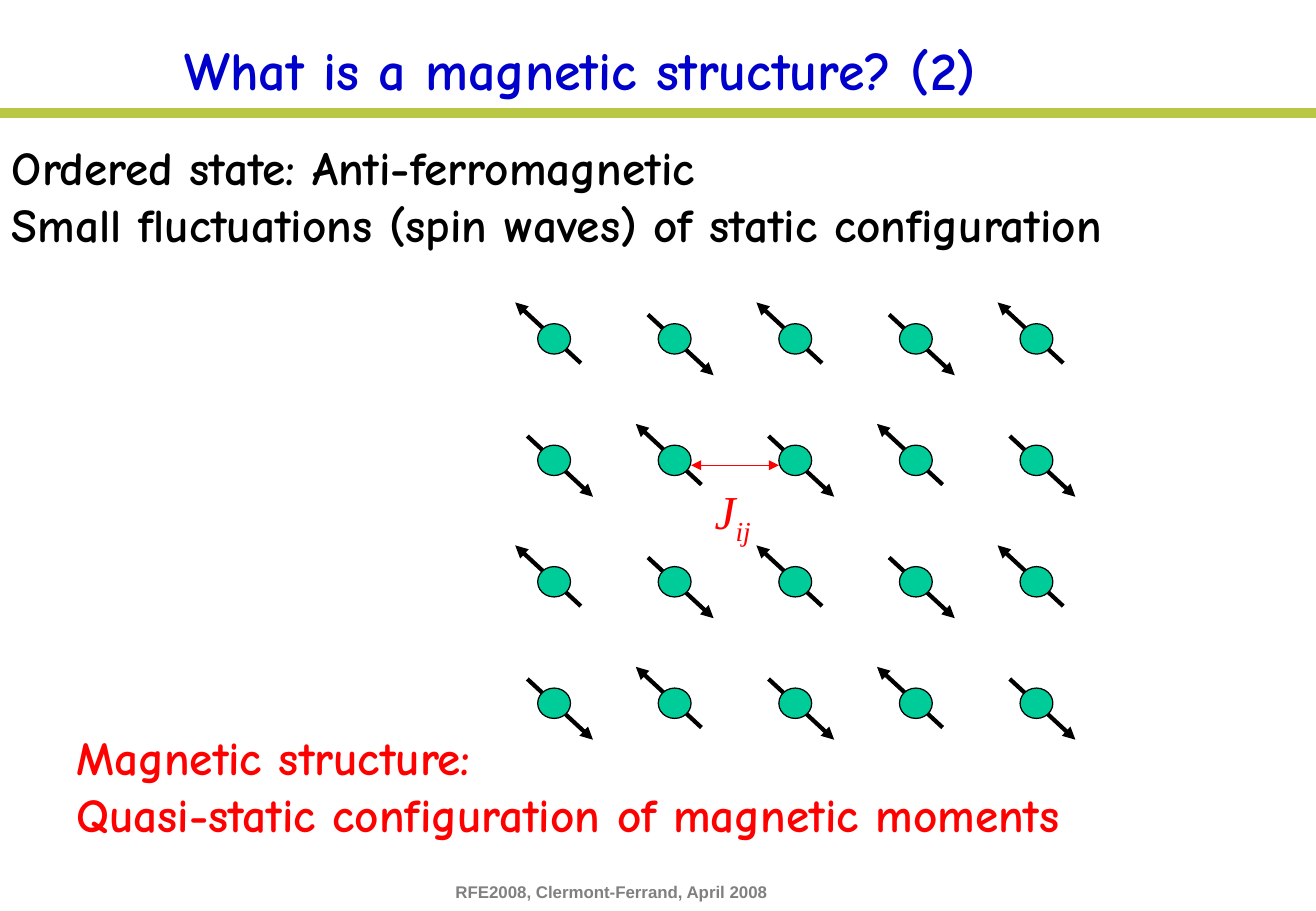
from lxml import etree
from pptx import Presentation
from pptx.dml.color import RGBColor
from pptx.enum.shapes import MSO_CONNECTOR, MSO_SHAPE
from pptx.enum.text import MSO_ANCHOR, PP_ALIGN
from pptx.oxml.ns import qn
from pptx.util import Emu, Pt

PX = 9144  # 100 px to the inch
STRAIGHT = MSO_CONNECTOR.STRAIGHT
RECTANGLE, OVAL = MSO_SHAPE.RECTANGLE, MSO_SHAPE.OVAL
LEFT, CENTER = PP_ALIGN.LEFT, PP_ALIGN.CENTER
TOP, MIDDLE = MSO_ANCHOR.TOP, MSO_ANCHOR.MIDDLE

COLORS = {
    "bar": "B8C844", "footer": "808080", "title": "0000CC", "text": "000000",
    "highlight": "FF0000", "atom": "00CC99", "outline": "000000",
}
TITLE = {"name": "Comic Neue", "size": Pt(32), "bold": True, "color": "title"}
STATEMENT = {"name": "Comic Neue", "size": Pt(28), "bold": True, "color": "text"}
CONCLUSION = {**STATEMENT, "color": "highlight"}
FOOTER = {"name": "Arial", "size": Pt(10), "bold": True, "color": "footer"}
SYMBOL = {"name": "Times New Roman", "size": Pt(28), "italic": True, "color": "highlight"}

ROWS, COLUMNS = 4, 5
ATOM_WIDTH, ATOM_HEIGHT = 27, 25
MOMENT_TAIL, MOMENT_HEAD = (-22, -20), (32, 30)


def px(*values):
    return [Emu(round(value * PX)) for value in values]


def rgb(name):
    return RGBColor.from_string(COLORS[name])


def format_font(font, style):
    for name, value in style.items():
        if name == "color":
            font.color.rgb = rgb(value)
        else:
            setattr(font, name, value)


def write_lines(shape, lines, style, alignment=LEFT, anchor=TOP):
    frame = shape.text_frame
    frame.word_wrap = True
    frame.vertical_anchor = anchor
    for index, line in enumerate(lines):
        paragraph = frame.paragraphs[0] if index == 0 else frame.add_paragraph()
        paragraph.alignment = alignment
        run = paragraph.add_run()
        run.text = line
        format_font(run.font, style)


def add_text(shapes, box, lines, style):
    shape = shapes.add_textbox(*px(*box))
    write_lines(shape, lines, style)
    return shape


def add_filled_shape(shapes, kind, box, fill, outline=None):
    shape = shapes.add_shape(kind, *px(*box))
    shape.shadow.inherit = False
    shape.fill.solid()
    shape.fill.fore_color.rgb = rgb(fill)
    if outline:
        shape.line.color.rgb = rgb(outline)
        shape.line.width = Pt(0.75)
    else:
        shape.line.fill.background()


def add_arrow(shapes, start, end, color, width, ends=("tailEnd",)):
    arrow = shapes.add_connector(STRAIGHT, *px(*start, *end))
    arrow.line.color.rgb = rgb(color)
    arrow.line.width = Pt(width)
    line = arrow.line._get_or_add_ln()
    for end_name in ends:
        etree.SubElement(line, qn(f"a:{end_name}"), type="triangle")
    etree.SubElement(arrow._element.spPr, qn("a:effectLst"))


def add_header(slide, box):
    left, top, width, height = box
    add_filled_shape(slide.shapes, RECTANGLE, (left, top + 89, width, 8), "bar")
    title = slide.shapes.title
    title.left, title.top, title.width, title.height = px(left + 36, top + 21, 884, 71)
    write_lines(title, ["What is a magnetic structure? (2)"], TITLE, CENTER, MIDDLE)


def add_lattice(slide, box):
    """Draw atoms whose moments alternate, with the box running through the outer centres."""
    left, top, width, height = box
    shapes = slide.shapes.add_group_shape().shapes
    column_gap, row_gap = width / (COLUMNS - 1), height / (ROWS - 1)
    sites = [(row, column, left + column * column_gap, top + row * row_gap)
             for row in range(ROWS) for column in range(COLUMNS)]
    for row, column, x, y in sites:
        sign = 1 if (row + column) % 2 else -1
        tail, head = [(x + sign * dx, y + sign * dy)
                      for dx, dy in (MOMENT_TAIL, MOMENT_HEAD)]
        add_arrow(shapes, tail, head, "outline", 2.5)
    for row, column, x, y in sites:
        atom_box = (x - ATOM_WIDTH / 2, y - ATOM_HEIGHT / 2, ATOM_WIDTH, ATOM_HEIGHT)
        add_filled_shape(shapes, OVAL, atom_box, "atom", "outline")
    add_coupling(shapes, (left + column_gap, top + row_gap, column_gap, row_gap))


def add_coupling(shapes, box):
    """Mark the exchange between the two atoms at the upper corners of the box."""
    left, top, width, height = box
    symbol = add_text(shapes, (left + 23, top + 13, 63, 57), ["J"], SYMBOL)
    subscript = symbol.text_frame.paragraphs[0].add_run()
    subscript.text = "ij"
    format_font(subscript.font, SYMBOL)
    subscript._r.get_or_add_rPr().set("baseline", "-25000")
    add_arrow(shapes, (left + ATOM_WIDTH / 2, top + 4),
              (left + width - ATOM_WIDTH / 2, top + 4),
              "highlight", 0.75, ("headEnd", "tailEnd"))


def main():
    presentation = Presentation()
    presentation.slide_width, presentation.slide_height = px(1083, 750)
    slide = presentation.slides.add_slide(presentation.slide_layouts[5])
    add_header(slide, (0, 0, 1083, 97))
    add_text(slide.shapes, (365, 721, 299, 27),
             ["RFE2008, Clermont-Ferrand, April 2008"], FOOTER)
    add_text(slide.shapes, (0, 109, 1039, 103),
             ["Ordered state: Anti-ferromagnetic",
              "Small fluctuations (spin waves) of static configuration"], STATEMENT)
    add_lattice(slide, (456, 279, 397, 300))
    add_text(slide.shapes, (53, 595, 932, 103),
             ["Magnetic structure:",
              "Quasi-static configuration of magnetic moments"], CONCLUSION)
    presentation.save("out.pptx")


if __name__ == "__main__":
    main()
